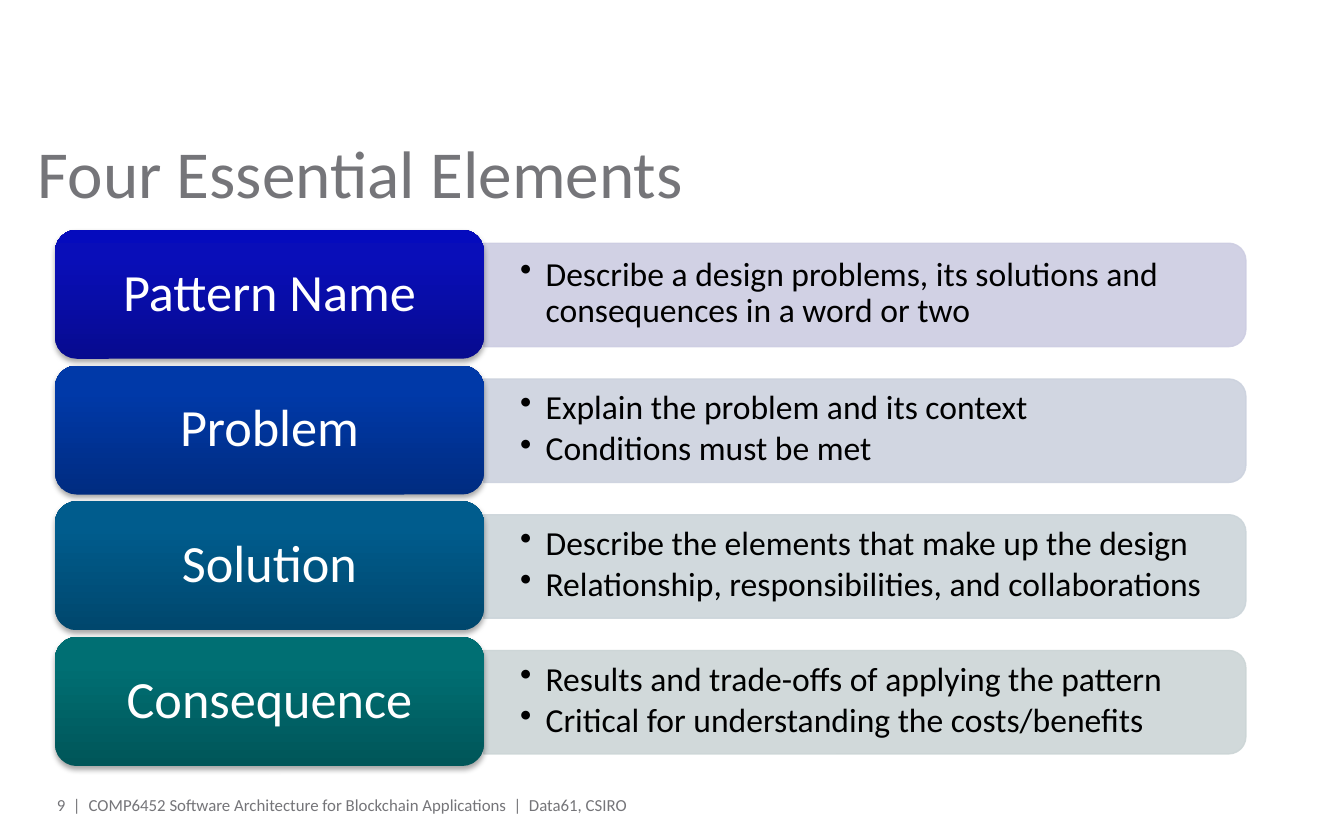
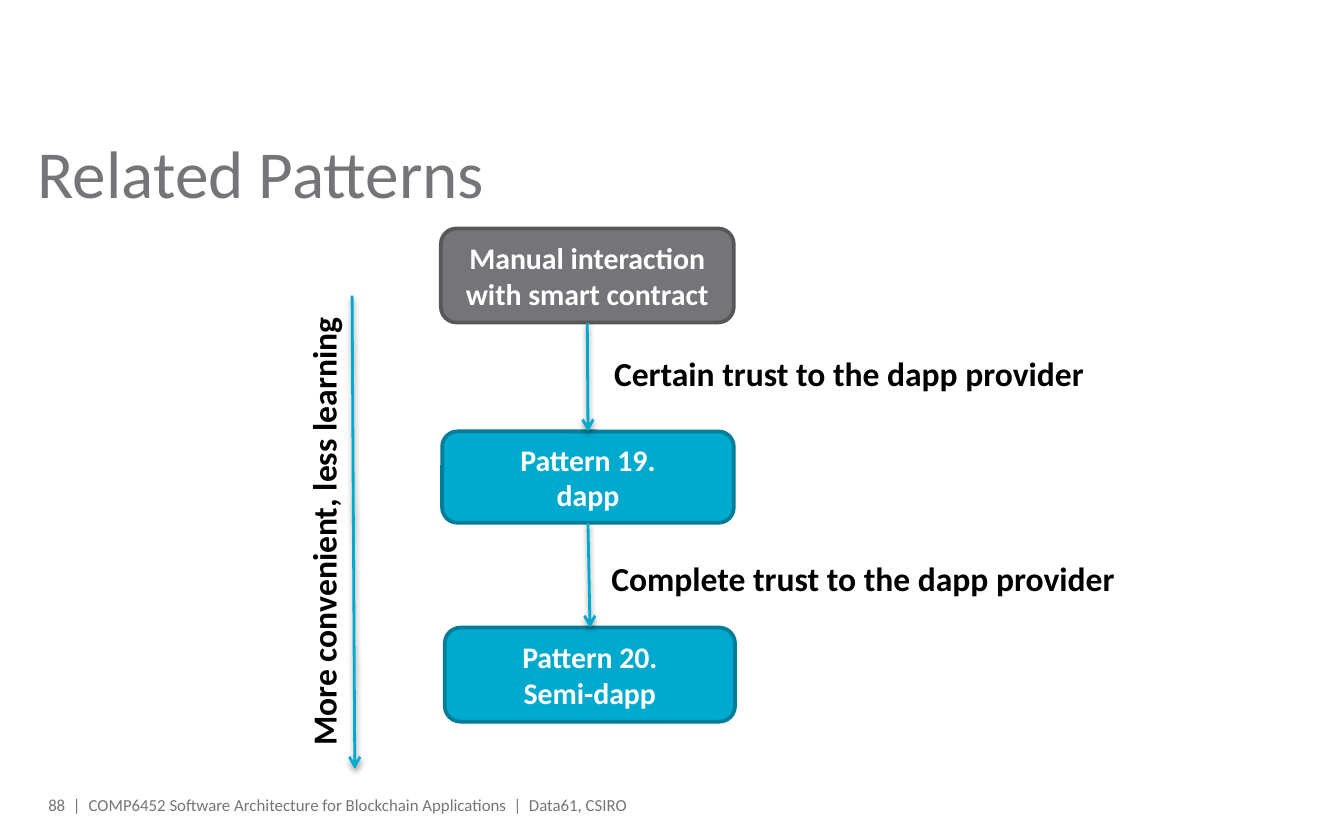
from copy import deepcopy

from lxml.etree import SubElement
from pptx import Presentation
from pptx.dml.color import RGBColor
from pptx.enum.shapes import MSO_CONNECTOR as CONNECTOR, MSO_SHAPE as SHAPE
from pptx.enum.text import MSO_ANCHOR as ANCHOR, MSO_AUTO_SIZE as AUTO_SIZE, PP_ALIGN as ALIGN
from pptx.oxml.ns import qn
from pptx.util import Pt

PX = 9144  # 100 px to the inch
FONT = "Calibri"
COLORS = {
    "white": "FFFFFF", "black": "000000",
    "grey": "757579", "grey_edge": "57575A",
    "cyan": "00A9CE", "cyan_edge": "007D98",
}
FOOTER = "COMP6452 Software Architecture for Blockchain Applications  |  Data61, CSIRO"

# label, bar colour, gradient from bottom to top, points
ELEMENTS = [
    ("Pattern Name", "CDCDE2", ("070B8F", "090EB9", "050BBD"),
     ["Describe a design problems, its solutions and consequences in a word or two"]),
    ("Problem", "CCD2DE", ("002C81", "0039A8", "0039A8"),
     ["Explain the problem and its context", "Conditions must be met"]),
    ("Solution", "CCD5DA", ("00476D", "005C8D", "005D8E"),
     ["Describe the elements that make up the design",
      "Relationship, responsibilities, and collaborations"]),
    ("Consequence", "CCD5D6", ("005659", "006F73", "007074"),
     ["Results and trade-offs of applying the pattern",
      "Critical for understanding the costs/benefits"]),
]


def px(*lengths):
    return [length * PX for length in lengths]


def rgb(color):
    return RGBColor.from_string(COLORS.get(color, color))


def add_shadow(shape, alpha, distance):
    """Cast a soft black shadow straight down."""
    sp_pr = shape._element.spPr
    effects = sp_pr.find(qn("a:effectLst"))
    if effects is None:
        effects = SubElement(sp_pr, qn("a:effectLst"))
    shadow = SubElement(effects, qn("a:outerShdw"), blurRad="40000", dist=str(distance),
                        dir="5400000", rotWithShape="0")
    color = SubElement(shadow, qn("a:srgbClr"), val=COLORS["black"])
    SubElement(color, qn("a:alpha"), val=str(alpha * 1000))


class Deck:
    def __init__(self):
        self.presentation = Presentation()
        self.presentation.slide_width, self.presentation.slide_height = px(1000, 625)
        self.slide = None

    def start_slide(self, title, number):
        layout = self.presentation.slide_layouts.get_by_name("Title Only")
        self.slide = self.presentation.slides.add_slide(layout)
        heading = self.slide.shapes.title
        heading.left, heading.top, heading.width, heading.height = px(28, 98, 945, 78)
        self.set_text(heading, [title], 36, "grey", margins=(0, 0), anchor=ANCHOR.TOP)
        footer = dict(size=9, color="grey", margins=(0, 0), anchor=ANCHOR.MIDDLE)
        self.text((28, 593, 32, 12), [f"{number}  |"], align=ALIGN.RIGHT, **footer)
        self.text((66, 593, 665, 11), [FOOTER], **footer)

    def set_text(self, shape, lines, size, color, bold=False, align=ALIGN.LEFT,
                 anchor=ANCHOR.MIDDLE, margins=(10, 5), spacing=None):
        frame = shape.text_frame
        frame.word_wrap = True
        frame.auto_size = AUTO_SIZE.NONE
        frame.vertical_anchor = anchor
        frame.margin_left = frame.margin_right = margins[0] * PX
        frame.margin_top = frame.margin_bottom = margins[1] * PX
        frame.text = "\n".join(lines)
        for paragraph in frame.paragraphs:
            paragraph.alignment = align
            paragraph.line_spacing = spacing
            for run in paragraph.runs:
                run.font.name, run.font.size, run.font.bold = FONT, Pt(size), bold
                run.font.color.rgb = rgb(color)

    def text(self, box, lines, size, color, **style):
        area = self.slide.shapes.add_textbox(*px(*box))
        self.set_text(area, lines, size, color, **style)
        return area

    def caption(self, box, words, rotation=0):
        area = self.text(box, [words], 18, "black", bold=True, anchor=ANCHOR.TOP)
        area.text_frame.auto_size = AUTO_SIZE.SHAPE_TO_FIT_TEXT
        area.rotation = rotation

    def bullets(self, box, lines):
        area = self.text(box, lines, 18, "black", margins=(27, 14), spacing=0.9)
        for paragraph in area.text_frame.paragraphs:
            paragraph.space_after = Pt(2.7)
            properties = paragraph._p.get_or_add_pPr()
            properties.set("marL", str(19 * PX))
            properties.set("indent", str(-19 * PX))
            SubElement(properties, qn("a:buChar"), char="•")

    def shape(self, kind, box):
        shape = self.slide.shapes.add_shape(kind, *px(*box))
        shape.shadow.inherit = False
        return shape

    def bar(self, left, top, width, height, color):
        """Draw a bar rounded at its right end: an upright tab turned a quarter."""
        shift = (width - height) // 2
        bar = self.shape(SHAPE.ROUND_2_SAME_RECTANGLE, (left + shift, top - shift, height, width))
        bar.rotation = 90
        bar.line.width = Pt(0.75)
        for fill in (bar.fill, bar.line.fill):
            fill.solid()
            fill.fore_color.rgb = rgb(color)
        for tint in bar._element.spPr.iter(qn("a:srgbClr")):
            SubElement(tint, qn("a:alpha"), val="90000")

    def gradient_card(self, box, label, colors):
        card = self.shape(SHAPE.ROUNDED_RECTANGLE, box)
        card.line.fill.background()
        card.fill.gradient()
        card.fill.gradient_angle = 90
        stops = card._element.spPr.find(".//" + qn("a:gsLst"))
        stops.append(deepcopy(stops[-1]))
        for stop, position, color in zip(card.fill.gradient_stops, (0, 0.8, 1), colors):
            stop.position = position
            stop.color.rgb = rgb(color)
        add_shadow(card, 35, 23000)
        self.set_text(card, [label], 28, "white", align=ALIGN.CENTER, margins=(17, 11),
                      spacing=0.9)

    def node(self, box, lines, color):
        node = self.shape(SHAPE.ROUNDED_RECTANGLE, box)
        node.fill.solid()
        node.fill.fore_color.rgb = rgb(color)
        node.line.color.rgb = rgb(color + "_edge")
        node.line.width = Pt(2)
        self.set_text(node, lines, 16, "white", bold=True, align=ALIGN.CENTER)
        return node

    def arrow(self, ends=(0, 0, 0, 0), source=None, target=None):
        """Draw an arrow between two points, or from one node down to the next."""
        arrow = self.slide.shapes.add_connector(CONNECTOR.STRAIGHT, *px(*ends))
        if source is not None:
            arrow.begin_connect(source, 2)
            arrow.end_connect(target, 0)
        arrow.line.color.rgb = rgb("cyan")
        arrow.line.width = Pt(1.5)
        line = arrow._element.spPr.find(qn("a:ln"))
        SubElement(line, qn("a:tailEnd"), type="arrow")
        add_shadow(arrow, 38, 20000)


def build_essential_elements(deck):
    deck.start_slide("Four Essential Elements", 9)
    for row, (label, bar_color, gradient, points) in enumerate(ELEMENTS):
        top = 171 + 101 * row
        deck.bar(360, top + 10, 567, 77, bar_color)
        deck.bullets((360, top + 13, 563, 69), points)
        deck.gradient_card((41, top, 319, 96), label, gradient)


def build_related_patterns(deck):
    deck.start_slide("Related Patterns", 88)
    manual = deck.node((328, 170, 218, 70), ["Manual interaction with smart contract"], "grey")
    dapp = deck.node((329, 321, 217, 68), ["Pattern 19.", "dapp"], "cyan")
    semi_dapp = deck.node((331, 467, 216, 70), ["Pattern 20.", "Semi-dapp"], "cyan")
    deck.arrow(source=manual, target=dapp)
    deck.arrow(source=dapp, target=semi_dapp)
    deck.caption((447, 258, 391, 40), "Certain trust to the dapp provider")
    deck.caption((445, 410, 402, 40), "Complete trust to the dapp provider")
    deck.arrow((262, 220, 264, 572))
    deck.caption((60, 364, 361, 40), "More convenient, less learning", rotation=270)


def main():
    deck = Deck()
    build_essential_elements(deck)
    build_related_patterns(deck)
    deck.presentation.save("out.pptx")


if __name__ == "__main__":
    main()
